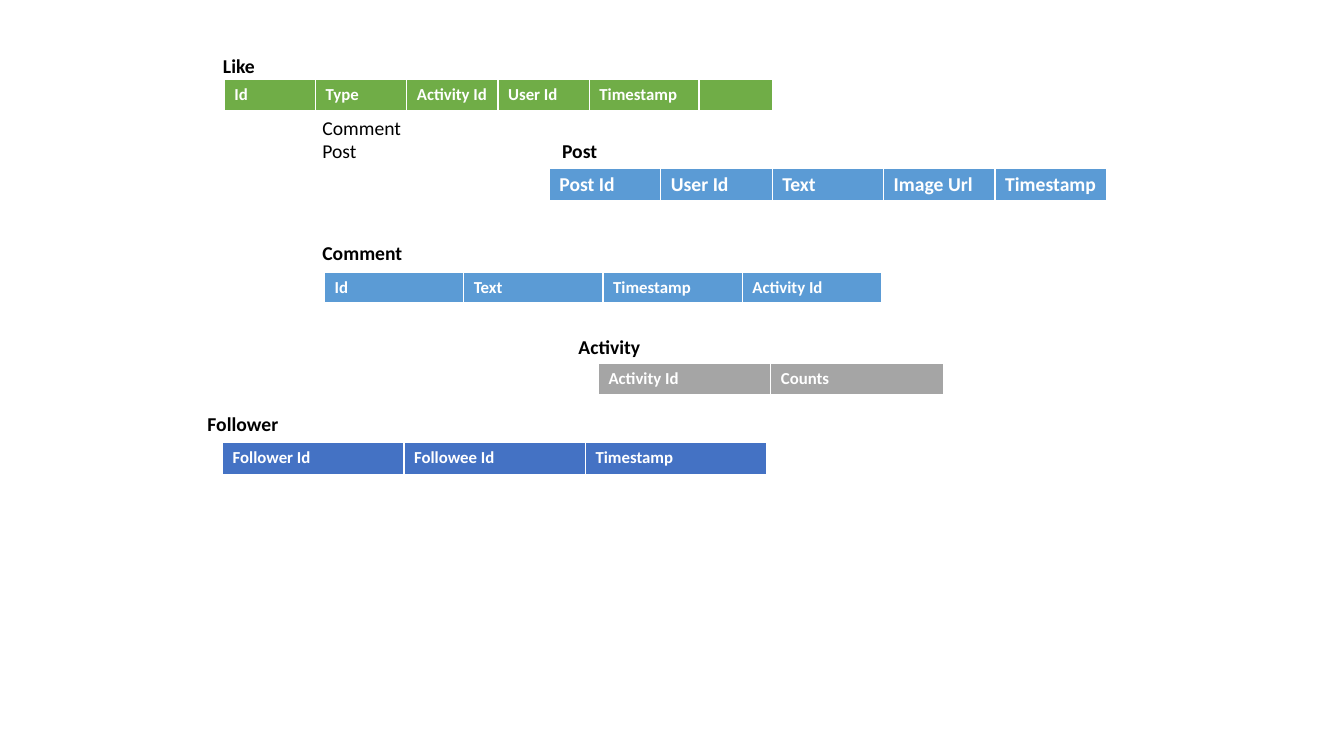
from lxml.etree import SubElement
from pptx import Presentation
from pptx.dml.color import RGBColor
from pptx.enum.text import MSO_AUTO_SIZE as AutoSize
from pptx.oxml.ns import qn
from pptx.util import Pt

COLORS = {
    "white": "FFFFFF",
    "black": "000000",
    "green": "70AD47",
    "blue": "5B9BD5",
    "gray": "A5A5A5",
    "indigo": "4472C4",
}


class SchemaSlide:
    font = "Calibri"
    label_size = 14
    borders = {"a:lnL": 1, "a:lnR": 1, "a:lnT": 1, "a:lnB": 3}

    def __init__(self, slide):
        self.slide = slide

    def add_text(self, paragraph, text, size, color, bold):
        run = paragraph.add_run()
        run.text = text
        run.font.name = self.font
        run.font.size = Pt(size)
        run.font.bold = bold
        run.font.color.rgb = RGBColor.from_string(COLORS[color])

    def label(self, lines, left, top, width, height=24.5, bold=True):
        box = self.slide.shapes.add_textbox(Pt(left), Pt(top), Pt(width), Pt(height))
        frame = box.text_frame
        frame.word_wrap = False
        frame.auto_size = AutoSize.SHAPE_TO_FIT_TEXT
        for index, line in enumerate(lines):
            paragraph = frame.add_paragraph() if index else frame.paragraphs[0]
            self.add_text(paragraph, line, self.label_size, "black", bold)

    def border(self, cell):
        props = cell._tc.get_or_add_tcPr()
        for position, (tag, width) in enumerate(self.borders.items()):
            line = SubElement(props, qn(tag), w=str(Pt(width)))
            fill = SubElement(line, qn("a:solidFill"))
            SubElement(fill, qn("a:srgbClr"), val=COLORS["white"])
            props.insert(position, line)

    def entity(self, fields, left, top, widths, height, color, size=12):
        table = self.slide.shapes.add_table(
            1, len(fields), Pt(left), Pt(top), Pt(sum(widths)), Pt(height)
        ).table
        table.rows[0].height = Pt(height)
        for column, (field, width) in enumerate(zip(fields, widths)):
            table.columns[column].width = Pt(width)
            cell = table.cell(0, column)
            cell.fill.solid()
            cell.fill.fore_color.rgb = RGBColor.from_string(COLORS[color])
            self.border(cell)
            paragraph = cell.text_frame.paragraphs[0]
            if field:
                self.add_text(paragraph, field, size, "white", True)
            else:
                # Keep the empty field as low as its row
                SubElement(paragraph._p, qn("a:endParaRPr"), sz=str(size * 100))


def main():
    deck = Presentation()
    deck.slide_width, deck.slide_height = Pt(960), Pt(540)
    schema = SchemaSlide(deck.slides.add_slide(deck.slide_layouts[6]))

    # Like, with the values its type can take
    like_fields = ["Id", "Type", "Activity Id", "User Id", "Timestamp", ""]
    schema.entity(like_fields, 160.2, 57, [65.2] * 4 + [78.4, 52.3], 22.7, "green")
    schema.label(["Like"], 152.2, 34.9, 37.4)
    schema.label(["Comment", "Post"], 223.2, 79.2, 71.3, 41, bold=False)

    # Post
    post_fields = ["Post Id", "User Id", "Text", "Image Url", "Timestamp"]
    schema.entity(post_fields, 392.4, 120.2, [79.6] * 5, 19.6, "blue", size=14)
    schema.label(["Post"], 394.4, 96, 39.6)

    # Comment
    comment_fields = ["Id", "Text", "Timestamp", "Activity Id"]
    schema.entity(comment_fields, 231.8, 194.4, [99.5] * 4, 23, "blue")
    schema.label(["Comment"], 223.2, 168.5, 72)

    # Activity
    schema.entity(["Activity Id", "Counts"], 427.5, 259.4, [123.1] * 2, 23.5, "gray")
    schema.label(["Activity"], 406.1, 235.4, 59)

    # Follower
    follower_fields = ["Follower Id", "Followee Id", "Timestamp"]
    schema.entity(follower_fields, 159, 316.1, [129.6] * 3, 23.5, "indigo")
    schema.label(["Follower"], 141.1, 290.9, 65.5)

    deck.save("out.pptx")


if __name__ == "__main__":
    main()
